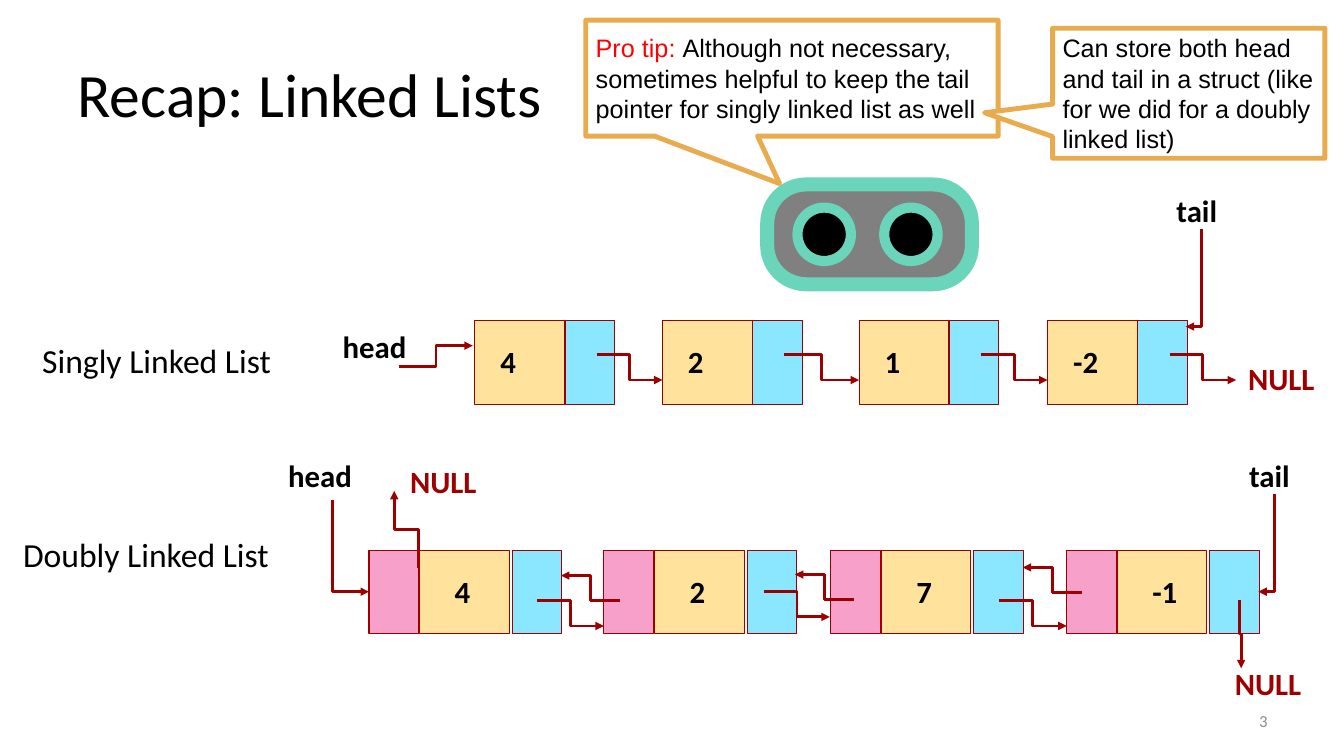
import pptx
import pptx.util
import pptx.dml.color
import pptx.enum.shapes
import pptx.enum.text
import pptx.oxml.ns
import lxml.etree

theme = {
    "ink": "000000", "muted": "8C8C8C", "alert": "FF0000", "pointer": "9D0000",
    "value": "FFE39D", "next": "8BE6FF", "prev": "F7A1CA", "bubble": "FFFFFF",
    "bubble edge": "E8AB4E", "visor": "808080", "visor edge": "6AD5BB",
    "title size": 44, "row size": 24, "node size": 22, "tip size": 18, "number size": 12,
    "font": "Calibri", "tip font": "Arial",
}
colours = {key: pptx.dml.color.RGBColor.from_string(code)
           for key, code in theme.items() if "size" not in key and "font" not in key}
Preset = pptx.enum.shapes.MSO_SHAPE
Align = pptx.enum.text.PP_ALIGN
Middle = pptx.enum.text.MSO_ANCHOR.MIDDLE
qn = pptx.oxml.ns.qn

deck = pptx.Presentation()
deck.slide_width = pptx.util.Inches(13.33)
deck.slide_height = pptx.util.Inches(7.5)
slide = deck.slides.add_slide(deck.slide_layouts[6])
shapes = slide.shapes
grid = deck.slide_height / 75


def label(words, left, top, width, height, size, colour="ink", bold=False, wrap=True, align=Align.LEFT):
    box = shapes.add_textbox(*(round(n * grid) for n in (left, top, width, height)))
    frame = box.text_frame
    frame.word_wrap = wrap
    frame.vertical_anchor = Middle
    if not wrap:
        frame.auto_size = pptx.enum.text.MSO_AUTO_SIZE.SHAPE_TO_FIT_TEXT
    frame.paragraphs[0].alignment = align
    run = frame.paragraphs[0].add_run()
    run.text = words
    run.font.name = theme["font"]
    run.font.size = pptx.util.Pt(theme[size])
    run.font.bold = bold
    run.font.color.rgb = colours[colour]


def pointer(x1, y1, x2, y2, route="across"):
    ends = x1, y1, x2, y2
    down, right = y2 > y1, x2 > x1
    if route != "across":
        mid_x, mid_y = (x1 + x2) / 2, (y1 + y2) / 2
        half_length, half_drop = abs(y2 - y1) / 2, abs(x2 - x1) / 2
        if down == right:
            half_drop = -half_drop
        ends = mid_x - half_length, mid_y - half_drop, mid_x + half_length, mid_y + half_drop
        if not down:
            ends = mid_x - half_length, mid_y + half_drop, mid_x + half_length, mid_y - half_drop
    arrow = shapes.add_connector(pptx.enum.shapes.MSO_CONNECTOR.ELBOW, *(round(n * grid) for n in ends))
    arrow.line.color.rgb = colours["pointer"]
    arrow.line.width = pptx.util.Pt(2)
    properties = arrow._element.spPr
    if route != "across":
        properties.find(qn("a:xfrm")).set("rot", str((90 if down else 270) * 60000))
    if route == "corner":
        properties.find(qn("a:prstGeom")).set("prst", "bentConnector2")
    lxml.etree.SubElement(properties.find(qn("a:ln")), qn("a:tailEnd"), type="triangle")
    lxml.etree.SubElement(properties, qn("a:effectLst"))


label("Recap: Linked Lists", 6.7, 3, 120, 12.5, "title size")
label("Singly Linked List", 3.2, 33.2, 26.5, 5, "row size")
label("Doubly Linked List", 1.3, 52.5, 26.5, 5, "row size")
label("3", 95.6, 69.5, 31.1, 4, "number size", "muted", align=Align.RIGHT)

singly = [(47.1, "4"), (65.7, "2"), (85.2, "1"), (103.9, "-2")]
doubly = [(36.6, "4"), (59.9, "2"), (82.4, "7"), (105.8, "-1")]
singly_parts = [("value", 0, 8.9), ("next", 8.95, 4.9)]
doubly_parts = [("prev", 0, 4.9), ("value", 5, 8.9), ("next", 14.2, 4.9)]

for nodes, parts, top, indent in [(singly, singly_parts, 31.8, 1.55), (doubly, doubly_parts, 54.6, 7.5)]:
    for left, number in nodes:
        for part, offset, width in parts:
            cell = shapes.add_shape(Preset.RECTANGLE,
                                    *(round(n * grid) for n in (left + offset, top, width, 8.3)))
            cell.shadow.inherit = False
            cell.fill.solid()
            cell.fill.fore_color.rgb = colours[part]
            cell.line.color.rgb = colours["pointer"]
            cell.line.width = pptx.util.Pt(0.75)
        label(number, left + indent, top + 1.65, 2.5 + len(number), 4.7, "node size", bold=True, wrap=False)

singly_targets = [left for left, number in singly[1:]] + [122.6]
for (left, number), target in zip(singly, singly_targets):
    pointer(left + 12.1, 35.2, target, 37.7)

for x, y, target in [(53.3, 59.6, 59.9), (75.8, 58.7, 82.3), (99.1, 59.6, 105.8)]:
    pointer(x, y, target, y + 2.5)
for x, y in [(61.5, 59.6), (84.7, 59.5), (107.3, 58.8)]:
    pointer(x, y, x - 5.85, y - 2.5)

pointer(39.6, 36.4, 46.9, 34.3)
pointer(33, 49.6, 36.6, 58.7, "corner")
pointer(119.2, 22.7, 117.6, 32.4, "corner")
pointer(126.4, 49, 124.8, 58.7, "corner")
pointer(122.9, 59.5, 123.1, 66.3, "upright")
pointer(39.1, 56.4, 41.5, 48.7, "upright")

for words, left, top, width, colour, wrap in [
    ("head", 33, 32, 8.4, "ink", False),
    ("head", 27.6, 44.8, 8.4, "ink", False),
    ("tail", 115.7, 18.5, 7.5, "ink", True),
    ("tail", 122.9, 44.8, 7.5, "ink", True),
    ("NULL", 122.8, 35.2, 8.6, "pointer", False),
    ("NULL", 121.5, 65.4, 8.6, "pointer", False),
    ("NULL", 39.7, 45.4, 8.6, "pointer", False),
]:
    label(words, left, top, width, 4.7, "node size", colour, bold=True, wrap=wrap)

for preset, left, top, width, height, fill, edge in [
    (Preset.ROUNDED_RECTANGLE, 76.1, 18.3, 20.3, 9.9, "visor", 10),
    (Preset.OVAL, 79.1, 20.6, 5.3, 5.3, "ink", 7.25),
    (Preset.OVAL, 87.7, 20.6, 5.3, 5.3, "ink", 7.25),
]:
    face = shapes.add_shape(preset, *(round(n * grid) for n in (left, top, width, height)))
    face.shadow.inherit = False
    face.fill.solid()
    face.fill.fore_color.rgb = colours[fill]
    face.line.color.rgb = colours["visor edge"]
    face.line.width = pptx.util.Pt(edge)
    if preset == Preset.ROUNDED_RECTANGLE:
        face.adjustments[0] = 0.39

for left, top, width, height, tip_x, tip_y, words in [
    (58.1, 2, 40.9, 11.5, -0.03, 0.91, [
        ("Pro tip: ", "alert"),
        ("Although not necessary, sometimes helpful to keep the tail pointer for singly linked list as well", "ink"),
    ]),
    (104.4, 2.8, 27, 12.9, -0.75, 0.15, [
        ("Can store both head and tail in a struct (like for we did for a doubly linked list)", "ink"),
    ]),
]:
    bubble = shapes.add_shape(Preset.RECTANGULAR_CALLOUT,
                              *(round(n * grid) for n in (left, top, width, height)))
    bubble.shadow.inherit = False
    bubble.adjustments[0] = tip_x
    bubble.adjustments[1] = tip_y
    bubble.fill.solid()
    bubble.fill.fore_color.rgb = colours["bubble"]
    bubble.line.color.rgb = colours["bubble edge"]
    bubble.line.width = pptx.util.Pt(3.5)
    bubble.text_frame.word_wrap = True
    bubble.text_frame.vertical_anchor = Middle
    speech = bubble.text_frame.paragraphs[0]
    speech.alignment = Align.LEFT
    for phrase, colour in words:
        run = speech.add_run()
        run.text = phrase
        run.font.name = theme["tip font"]
        run.font.size = pptx.util.Pt(theme["tip size"])
        run.font.color.rgb = colours[colour]

deck.save("out.pptx")
